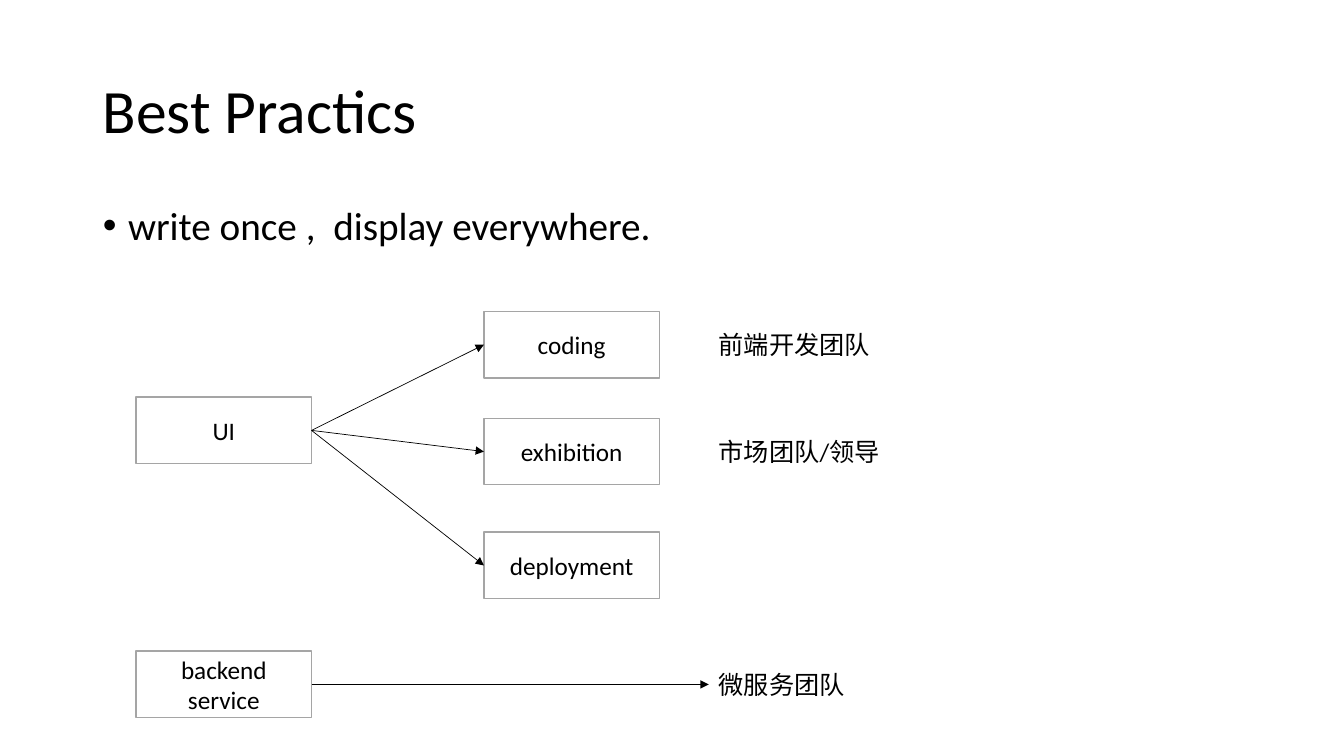
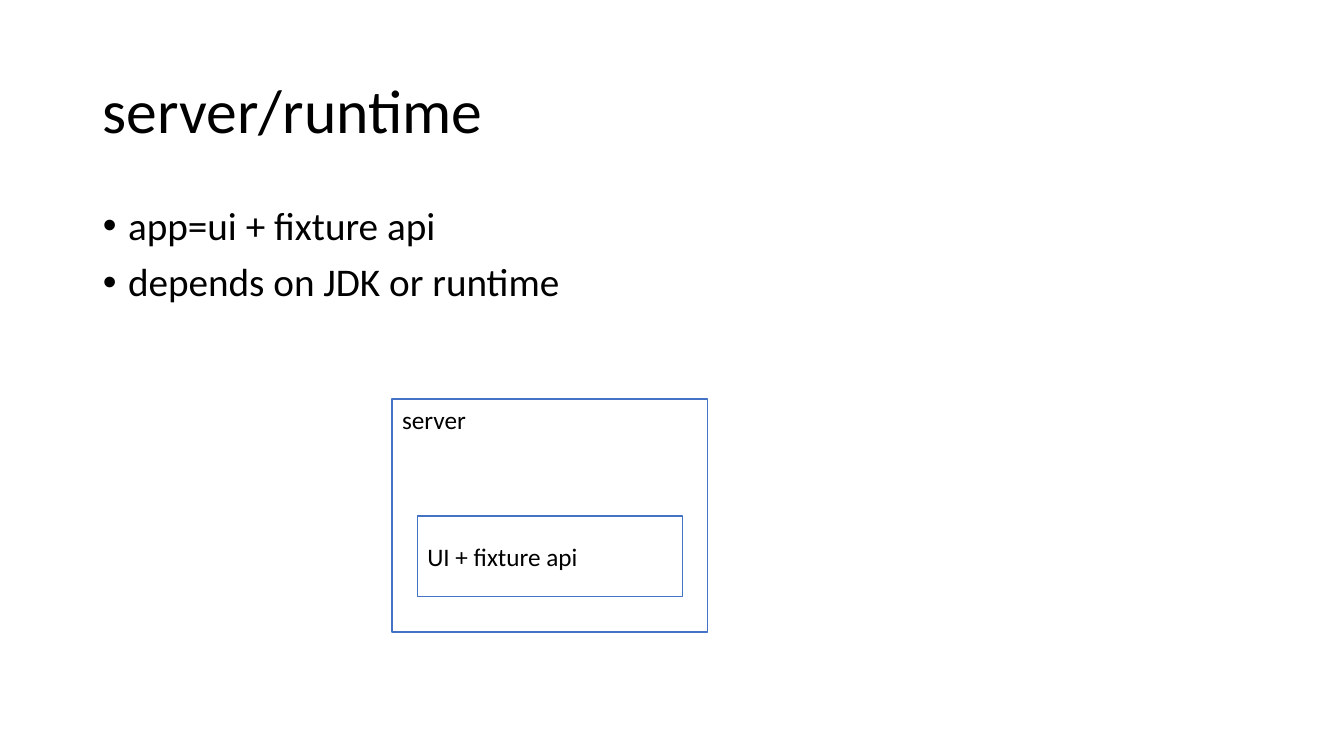
from dataclasses import dataclass

from lxml.etree import SubElement as SubEl
from pptx import Presentation
from pptx.dml.color import RGBColor as RGB
from pptx.enum.shapes import MSO_CONNECTOR as CONN, MSO_SHAPE as SHAPE
from pptx.enum.text import MSO_ANCHOR as ANCHOR, MSO_AUTO_SIZE as FIT, PP_ALIGN as ALIGN
from pptx.oxml.ns import qn
from pptx.util import Inches, Pt


@dataclass(frozen=True)
class Theme:
    """Colours, font and type sizes that the slides share."""
    font: str = "Calibri"
    ink: RGB = RGB(0, 0, 0)
    paper: RGB = RGB(255, 255, 255)
    grey: RGB = RGB(0xA5, 0xA5, 0xA5)
    blue: RGB = RGB(0x44, 0x72, 0xC4)
    head: int = 44
    list: int = 28
    label: int = 18
    edge: float = 1
    arrow: float = 0.5


THEME = Theme()
LEFT, MID, RIGHT = 1.35, 4.8, 7.03
BOX_W, BOX_H, NOTE_H = 1.74, 0.66, 0.4


def style(item, values):
    """Set each named value on the item."""
    for name, value in values.items():
        setattr(item, name, value)


def place(shape, *box):
    """Move a shape to left, top, width, height in inches."""
    names = ("left", "top", "width", "height")
    style(shape, dict(zip(names, map(Inches, box))))


def write(shape, lines, size, anchor=ANCHOR.TOP, **para):
    """Write one paragraph a line in the shared font."""
    frame = shape.text_frame
    frame.text = "\n".join(lines)
    style(frame, {"word_wrap": True, "auto_size": FIT.NONE,
                  "vertical_anchor": anchor})
    for part in frame.paragraphs:
        style(part, {"alignment": ALIGN.LEFT, **para})
        for run in part.runs:
            style(run.font, {"name": THEME.font, "size": Pt(size)})
            run.font.color.rgb = THEME.ink


def bullet(part):
    """Give a paragraph a hanging round bullet."""
    props = part._p.get_or_add_pPr()
    props.set("marL", str(Inches(0.25)))
    props.set("indent", str(Inches(-0.25)))
    SubEl(props, qn("a:buFont")).set("typeface", "Arial")
    SubEl(props, qn("a:buChar")).set("char", "•")


def add_page(deck, title, items):
    """Add a slide with its title and bullet list."""
    page = deck.slides.add_slide(deck.slide_layouts[1])
    head, body = page.placeholders
    place(head, 0.92, 0.4, 11.5, 1.45)
    write(head, [title], THEME.head, ANCHOR.MIDDLE, line_spacing=0.9)
    place(body, 0.92, 2, 11.5, 4.76)
    write(body, items, THEME.list, line_spacing=0.9, space_before=Pt(10))
    for part in body.text_frame.paragraphs:
        bullet(part)
    return page


def add_box(page, text, box, line, anchor=ANCHOR.MIDDLE, align=ALIGN.LEFT):
    """Add an outlined white box with a label."""
    shape = page.shapes.add_shape(SHAPE.RECTANGLE, *map(Inches, box))
    shape.shadow.inherit = False
    shape.fill.solid()
    shape.fill.fore_color.rgb = THEME.paper
    shape.line.color.rgb = line
    shape.line.width = Pt(THEME.edge)
    write(shape, [text], THEME.label, anchor, alignment=align)
    return shape


def add_node(page, text, left, top):
    """Add a diagram node of the standard size."""
    return add_box(page, text, (left, top, BOX_W, BOX_H), THEME.grey,
                   align=ALIGN.CENTER)


def add_note(page, text, top, width):
    """Add a team name in the right column."""
    box = map(Inches, (RIGHT, top, width, NOTE_H))
    note = page.shapes.add_textbox(*box)
    write(note, [text], THEME.label)
    return note


def add_arrow(page, start, end):
    """Link the right side of one shape to the left side of another."""
    arrow = page.shapes.add_connector(CONN.STRAIGHT, 0, 0, 0, 0)
    arrow.begin_connect(start, 3)
    arrow.end_connect(end, 1)
    arrow.line.color.rgb = THEME.ink
    arrow.line.width = Pt(THEME.arrow)
    props = arrow._element.spPr
    SubEl(props.find(qn("a:ln")), qn("a:tailEnd")).set("type", "triangle")
    SubEl(props, qn("a:effectLst"))


def add_flow(deck):
    """Build the slide that links the parts to their teams."""
    page = add_page(deck, "Best Practics",
                    ["write once ,  display everywhere."])
    front = add_node(page, "UI", LEFT, 3.94)
    back = add_node(page, "backend service", LEFT, 6.46)
    for text, top in (("coding", 3.09), ("exhibition", 4.15),
                      ("deployment", 5.28)):
        add_arrow(page, front, add_node(page, text, MID, top))
    add_note(page, "前端开发团队", 3.22, 1.72)
    add_note(page, "市场团队/领导", 4.28, 1.81)
    add_arrow(page, back, add_note(page, "微服务团队", 6.59, 1.46))


def add_stack(deck):
    """Build the slide that nests the app in its server."""
    page = add_page(deck, "server/runtime",
                    ["app=ui + fixture api", "depends on JDK or runtime"])
    add_box(page, "server", (3.89, 3.96, 3.13, 2.31), THEME.blue, ANCHOR.TOP)
    add_box(page, "UI + fixture api", (4.14, 5.12, 2.63, 0.8), THEME.blue)


def main():
    """Build and save the deck."""
    deck = Presentation()
    style(deck, {"slide_width": Inches(13.33), "slide_height": Inches(7.5)})
    add_flow(deck)
    add_stack(deck)
    deck.save("out.pptx")


main()
